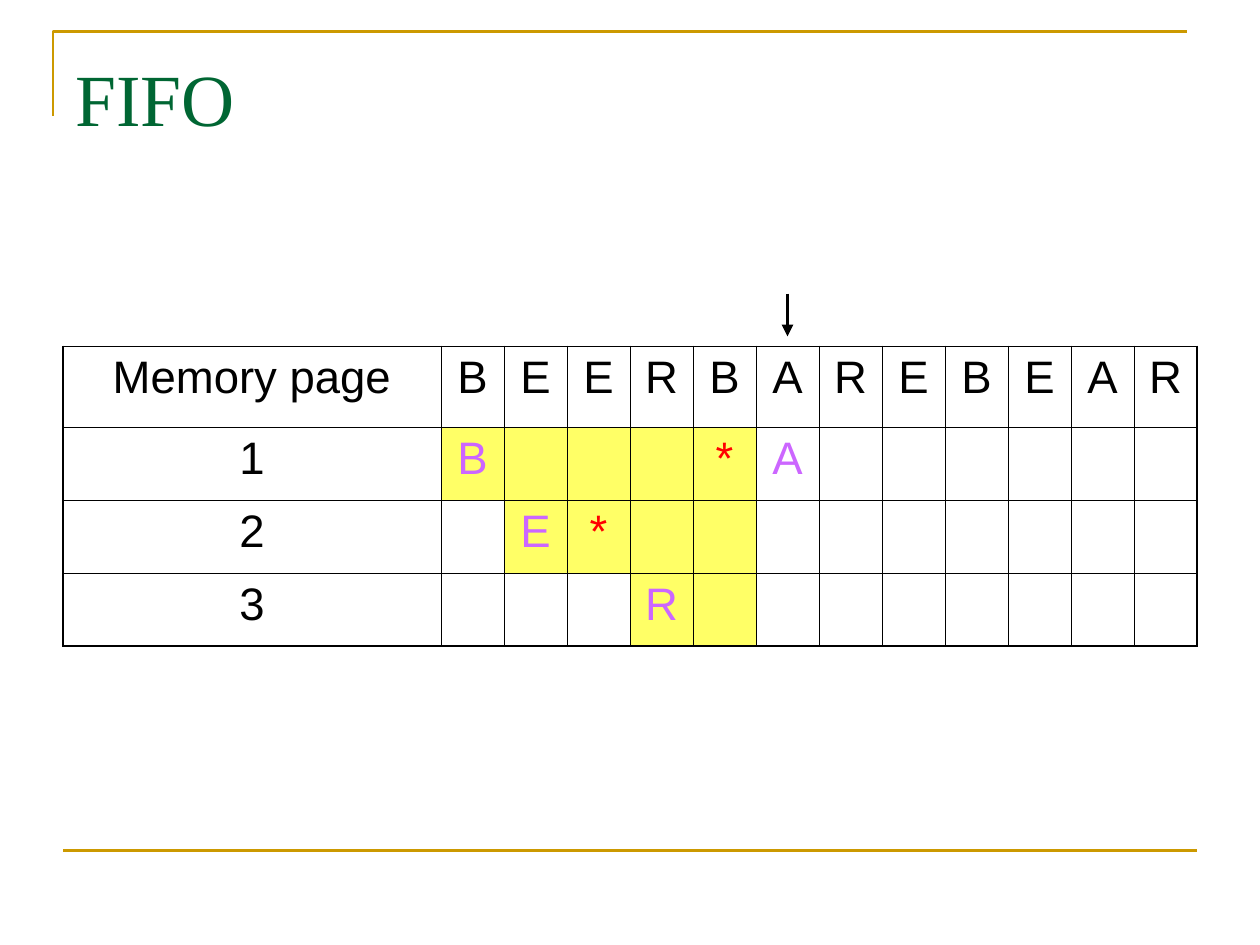
from lxml.etree import SubElement
from pptx import Presentation
from pptx.dml.color import RGBColor
from pptx.enum.shapes import MSO_CONNECTOR as Connector
from pptx.enum.text import MSO_ANCHOR as Anchor, PP_ALIGN as Align
from pptx.oxml import parse_xml
from pptx.oxml.ns import nsdecls, qn
from pptx.util import Inches, Pt

GOLD, GREEN, BLACK = "CC9900", "006633", "000000"
YELLOW, PURPLE, RED = "FFFF66", "CC66FF", "FF0000"
UNIT = 0.5  # inches in one grid column


def write(frame, text, font="Arial", size=26, color=BLACK, align=Align.LEFT):
    paragraph = frame.paragraphs[0]
    paragraph.alignment = align
    run = paragraph.add_run()
    run.text = text
    run.font.name, run.font.size = font, Pt(size)
    run.font.color.rgb = RGBColor.from_string(color)


def draw_line(shapes, start, end, color, width):
    line = shapes.add_connector(Connector.STRAIGHT, *map(Inches, start + end))
    line.line.color.rgb = RGBColor.from_string(color)
    line.line.width = Pt(width)
    SubElement(line._element.spPr, qn("a:effectLst"))
    return line


presentation = Presentation()
presentation.slide_width, presentation.slide_height = Inches(10), Inches(7.5)
slide = presentation.slides.add_slide(presentation.slide_layouts[6])
shapes = slide.shapes

# Gold corner and footer rule
builder = shapes.build_freeform(Inches(0.42), Inches(0.92))
builder.add_line_segments([(Inches(0.42), Inches(0.25)), (Inches(9.42), Inches(0.25))], close=False)
corner = builder.convert_to_shape()
corner.shadow.inherit = False
corner.fill.background()
corner.line.color.rgb = RGBColor.from_string(GOLD)
corner.line.width = Pt(1.5)
draw_line(shapes, (UNIT, 6.75), (19 * UNIT, 6.75), GOLD, 1.5)

# Title
title = shapes.add_textbox(Inches(UNIT), Inches(0.3), Inches(18 * UNIT), Inches(1.25)).text_frame
title.word_wrap = True
title.vertical_anchor = Anchor.TOP
title.margin_top = Inches(0.12)
write(title, "FIFO", font="Times New Roman", size=42, color=GREEN)

# Page table: loads in purple, hits as red stars, "." for an empty cell
requests = "BEERBAREBEAR"
rows = [
    ["Memory page", *requests],
    ["1", *"B...*A......"],
    ["2", *".E*........."],
    ["3", *"...R........"],
]
held = {1: range(1, 6), 2: range(2, 6), 3: range(4, 6)}  # yellow columns by row
row_heights = [0.64, 0.58, 0.58, 0.58]
table_top = 2.75
last_row, last_column = len(rows) - 1, len(requests)

table = shapes.add_table(len(rows), last_column + 1, Inches(UNIT), Inches(table_top),
                         Inches(18 * UNIT), Inches(sum(row_heights))).table
table.first_row = table.horz_banding = False
for index, column in enumerate(table.columns):
    column.width = Inches(UNIT if index else 6 * UNIT)

for r, values in enumerate(rows):
    table.rows[r].height = Inches(row_heights[r])
    for c, value in enumerate(values):
        cell = table.cell(r, c)
        outer_edges = {"L": c == 0, "R": c == last_column, "T": r == 0, "B": r == last_row}
        for side, outer in outer_edges.items():
            width = Pt(1.08 if outer else 0.45)
            cell._tc.get_or_add_tcPr().append(parse_xml(
                f'<a:ln{side} {nsdecls("a")} w="{width}"><a:solidFill>'
                f'<a:srgbClr val="{BLACK}"/></a:solidFill></a:ln{side}>'))
        if c in held.get(r, ()):
            cell.fill.solid()
            cell.fill.fore_color.rgb = RGBColor.from_string(YELLOW)
        else:
            cell.fill.background()
        if value != ".":
            color = BLACK if r == 0 or c == 0 else RED if value == "*" else PURPLE
            write(cell.text_frame, value, color=color, align=Align.CENTER)

# Arrow above the current request
current = 6
arrow_x = (6.5 + current) * UNIT
arrow = draw_line(shapes, (arrow_x, 2.33), (arrow_x, 2.67), BLACK, 2.25)
SubElement(arrow.line._get_or_add_ln(), qn("a:tailEnd"), type="triangle")

presentation.save("out.pptx")
